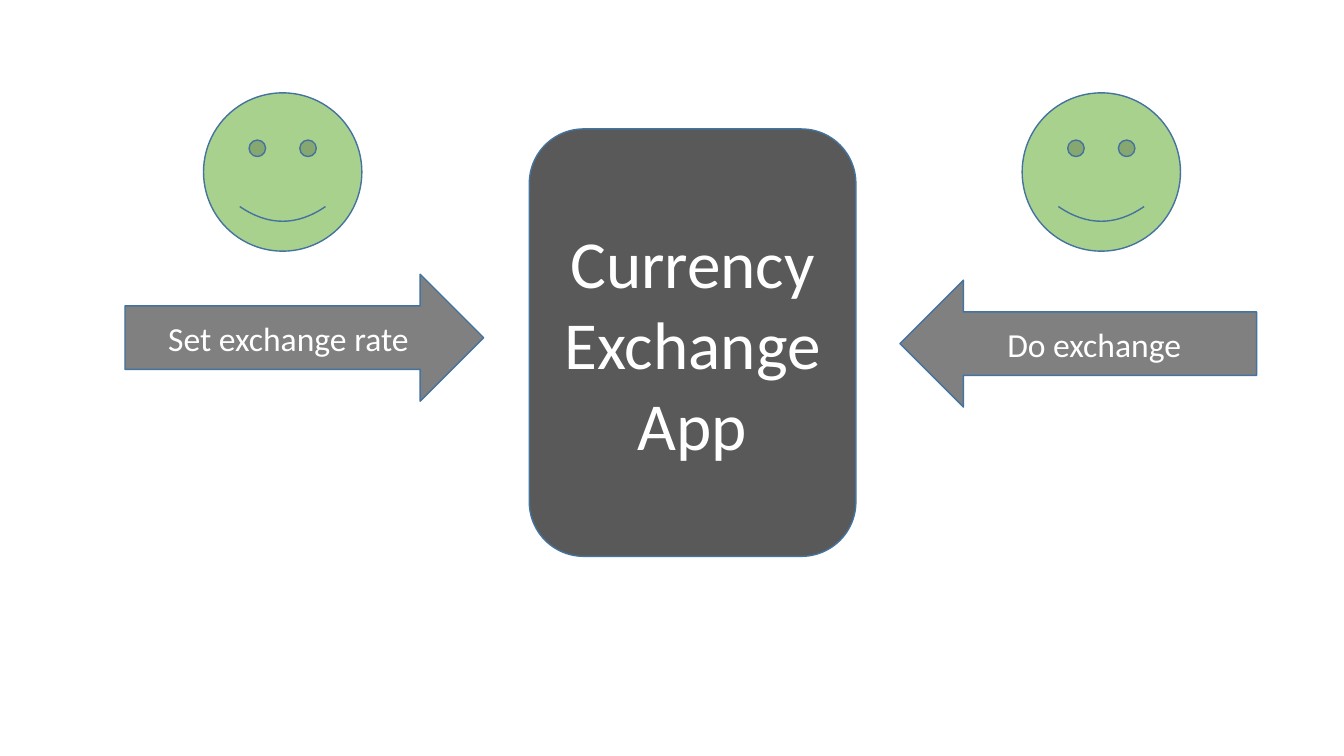
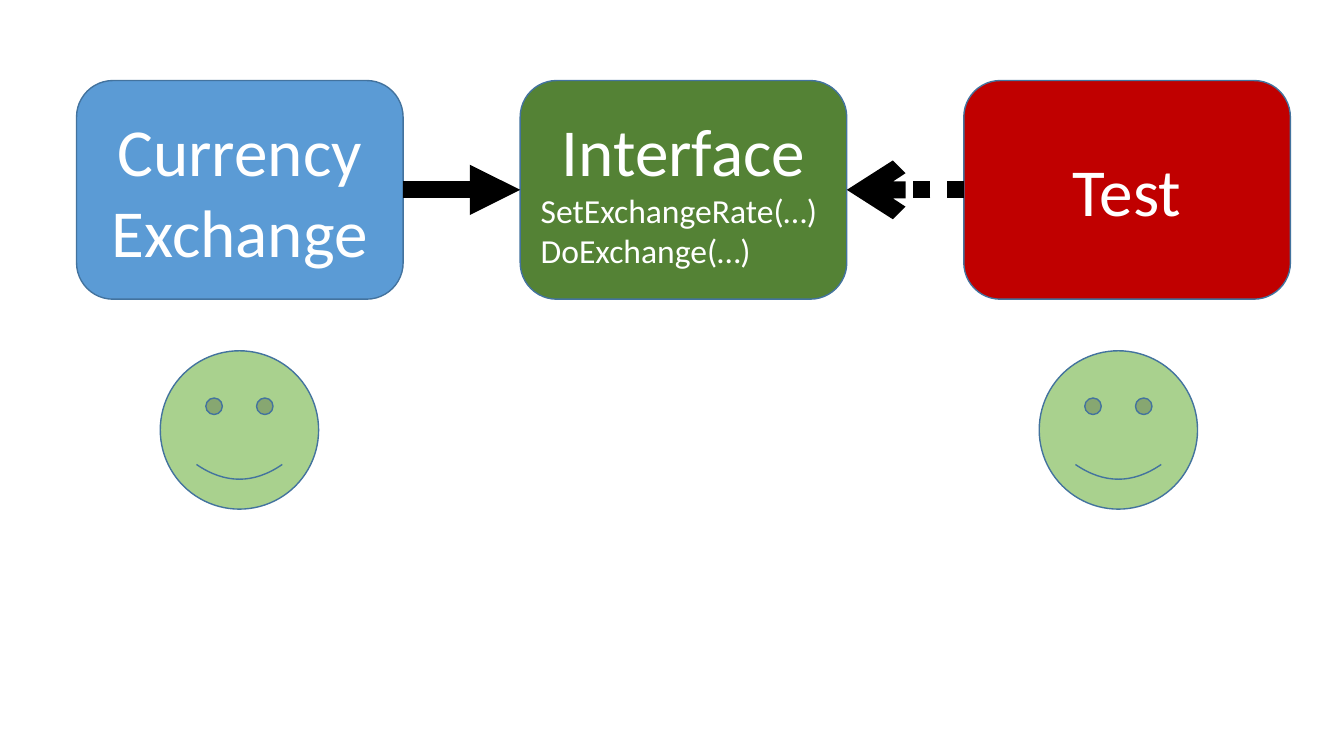
from dataclasses import dataclass

from lxml import etree
from pptx import Presentation
from pptx.dml.color import RGBColor
from pptx.enum.dml import MSO_LINE
from pptx.enum.shapes import MSO_CONNECTOR, MSO_SHAPE
from pptx.enum.text import MSO_ANCHOR, PP_ALIGN
from pptx.oxml.ns import qn
from pptx.util import Cm, Pt

ROUNDED, SMILEY = MSO_SHAPE.ROUNDED_RECTANGLE, MSO_SHAPE.SMILEY_FACE
RIGHT_ARROW, LEFT_ARROW = MSO_SHAPE.RIGHT_ARROW, MSO_SHAPE.LEFT_ARROW
STRAIGHT, DOTTED = MSO_CONNECTOR.STRAIGHT, MSO_LINE.ROUND_DOT
LEFT, CENTER, MIDDLE = PP_ALIGN.LEFT, PP_ALIGN.CENTER, MSO_ANCHOR.MIDDLE
LEFT_SITE, RIGHT_SITE = 1, 3
BLANK_LAYOUT = 6


@dataclass(frozen=True)
class Theme:
    """Colours, font, type sizes and line widths of the deck."""
    font: str = "Calibri"
    large: float = 48
    small: float = 24
    outline_width: float = 1
    link_width: float = 12
    text: str = "FFFFFF"
    outline: str = "43739E"
    link: str = "000000"
    face: str = "A9D18E"
    action: str = "808080"
    app: str = "595959"
    exchange: str = "5B9BD5"
    interface: str = "548235"
    test: str = "C00000"


THEME = Theme()
FACE_SIZE = 3.99


def rgb(value):
    """Turn a hex string into a colour."""
    return RGBColor.from_string(value)


def add_text(tf, text, size=THEME.large, align=CENTER):
    """Write text as one paragraph, filling the first one if it is empty."""
    p = tf.paragraphs[0] if not tf.text else tf.add_paragraph()
    p.alignment = align
    r = p.add_run()
    r.text = text
    r.font.name, r.font.size = THEME.font, Pt(size)
    r.font.color.rgb = rgb(THEME.text)


def add_block(s, kind, box, fill):
    """Add a filled, thinly outlined shape in box (left, top, width, height in cm)."""
    sp = s.shapes.add_shape(kind, *map(Cm, box))
    sp.shadow.inherit = False
    sp.fill.solid()
    sp.fill.fore_color.rgb = rgb(fill)
    sp.line.color.rgb = rgb(THEME.outline)
    sp.line.width = Pt(THEME.outline_width)
    return sp


def add_card(s, box, fill, heading, details=()):
    """Add a rounded card with large heading lines and small detail lines."""
    sp = add_block(s, ROUNDED, box, fill)
    tf = sp.text_frame
    tf.vertical_anchor = MIDDLE
    for line in heading:
        add_text(tf, line)
    for line in details:
        add_text(tf, line, size=THEME.small, align=LEFT)
    return sp


def add_action(s, kind, box, text):
    """Add a labelled block arrow."""
    tf = add_block(s, kind, box, THEME.action).text_frame
    tf.vertical_anchor = MIDDLE
    add_text(tf, text, size=THEME.small)


def add_faces(s, lefts, top):
    """Add a row of smiling users."""
    for left in lefts:
        add_block(s, SMILEY, (left, top, FACE_SIZE, FACE_SIZE), THEME.face)


def add_link(s, start, start_site, end, end_site, head, dash=None):
    """Join two cards with a thick arrow."""
    link = s.shapes.add_connector(STRAIGHT, 0, 0, 0, 0)
    link.begin_connect(start, start_site)
    link.end_connect(end, end_site)
    link.line.color.rgb = rgb(THEME.link)
    link.line.width = Pt(THEME.link_width)
    if dash:
        link.line.dash_style = dash
    sp_pr = link.element.spPr
    etree.SubElement(sp_pr.find(qn("a:ln")), qn("a:tailEnd"), type=head)
    etree.SubElement(sp_pr, qn("a:effectLst"))


def build_overview(s):
    """Show two users acting on the app."""
    add_action(s, RIGHT_ARROW, (3.15, 6.91, 9.04, 3.2), "Set exchange rate")
    add_action(s, LEFT_ARROW, (22.68, 7.06, 8.99, 3.2), "Do exchange")
    add_card(s, (13.34, 3.25, 8.23, 10.77), THEME.app,
             ("Currency", "Exchange", "App"))
    add_faces(s, (5.13, 25.76), 2.34)


def build_interface(s, left=1.93, top=2.03, pitch=11.18):
    """Show the exchange and the test meeting at one interface."""
    cards = (
        (THEME.exchange, ("Currency", "Exchange"), ()),
        (THEME.interface, ("Interface",),
         ("SetExchangeRate(…)", "DoExchange(…)")),
        (THEME.test, ("Test",), ()),
    )
    exchange, interface, test = [
        add_card(s, (left + i * pitch, top, 8.23, 5.51), *card)
        for i, card in enumerate(cards)]
    add_link(s, exchange, RIGHT_SITE, interface, LEFT_SITE, "triangle")
    add_link(s, test, LEFT_SITE, interface, RIGHT_SITE, "arrow", dash=DOTTED)
    add_faces(s, (4.04, 26.19), 8.84)


def main():
    """Build and save the deck."""
    prs = Presentation()
    prs.slide_width, prs.slide_height = Cm(33.87), Cm(19.05)
    for build in (build_overview, build_interface):
        build(prs.slides.add_slide(prs.slide_layouts[BLANK_LAYOUT]))
    prs.save("out.pptx")


main()
